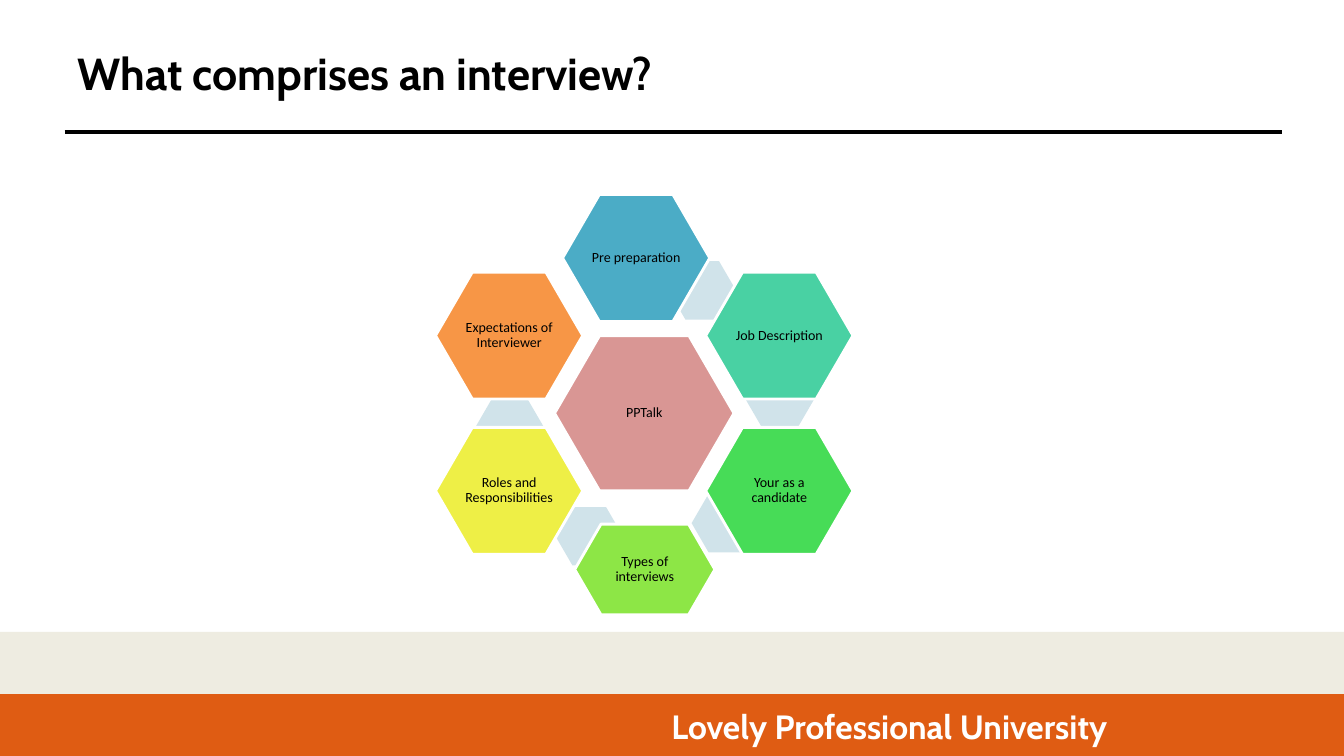
import lxml.etree
import pptx
import pptx.dml.color
import pptx.enum.shapes
import pptx.enum.text
import pptx.oxml.ns
import pptx.util

RGBColor = pptx.dml.color.RGBColor
PRESET = pptx.enum.shapes.MSO_SHAPE
ALIGN = pptx.enum.text.PP_ALIGN
MIDDLE = pptx.enum.text.MSO_ANCHOR.MIDDLE
PX = 9144  # 100 px to the inch

BLACK = RGBColor(0x00, 0x00, 0x00)
WHITE = RGBColor(0xFF, 0xFF, 0xFF)
ORANGE = RGBColor(0xDF, 0x5C, 0x13)
BEIGE = RGBColor(0xEE, 0xEC, 0xE1)
LINK_BLUE = RGBColor(0xD0, 0xE3, 0xEA)
CORE_PINK = RGBColor(0xD9, 0x96, 0x94)

CORE_SIZE = (178, 154)
TOPIC_SIZE = (146, 126)
SMALL_TOPIC_SIZE = (139, 90)
LINK_SIZE = (67, 58)

# label, colour, size, centre offset from the core, offset of the link behind it
TOPICS = [
    ("Pre preparation", RGBColor(0x4B, 0xAC, 0xC6), TOPIC_SIZE, (-8, -154), (57, -122)),
    ("Job Description", RGBColor(0x49, 0xD1, 0xA3), TOPIC_SIZE, (134, -77), (134, -13)),
    ("Your as a candidate", RGBColor(0x47, 0xDC, 0x57), TOPIC_SIZE, (134, 77), (80, 109)),
    ("Types of interviews", RGBColor(0x8D, 0xE6, 0x46), SMALL_TOPIC_SIZE, (0, 155), (-55, 122)),
    ("Roles and Responsibilities", RGBColor(0xEE, 0xEF, 0x46), TOPIC_SIZE, (-134, 77), (-134, 13)),
    ("Expectations of Interviewer", RGBColor(0xF7, 0x96, 0x46), TOPIC_SIZE, (-134, -77), None),
]


def emu(*lengths):
    return [length * PX for length in lengths]


def write(shape, text, font_name, size, color, bold=False, align=ALIGN.CENTER):
    text_frame = shape.text_frame
    text_frame.word_wrap = True
    text_frame.vertical_anchor = MIDDLE
    text_frame.text = text
    paragraph = text_frame.paragraphs[0]
    paragraph.alignment = align
    font = paragraph.runs[0].font
    font.name, font.size, font.bold = font_name, pptx.util.Pt(size), bold
    font.color.rgb = color
    return paragraph


def add_filled(slide, preset, box, fill, line=None):
    shape = slide.shapes.add_shape(preset, *emu(*box))
    shape.shadow.inherit = False
    shape.fill.solid()
    shape.fill.fore_color.rgb = fill
    if line is None:
        shape.line.fill.background()
    else:
        shape.line.color.rgb = line
        shape.line.width = pptx.util.Pt(2)
    return shape


def add_hexagon(slide, center, size, fill, label=None):
    box = (center[0] - size[0] // 2, center[1] - size[1] // 2, *size)
    hexagon = add_filled(slide, PRESET.HEXAGON, box, fill, WHITE if label else None)
    hexagon.adjustments[0] = 0.29
    if label:
        text_frame = hexagon.text_frame
        text_frame.margin_left = text_frame.margin_right = PX
        text_frame.margin_top = text_frame.margin_bottom = PX
        write(hexagon, label, "Calibri", 10, BLACK).line_spacing = 0.9


def add_header(slide, left, top, width):
    title = slide.shapes.add_textbox(*emu(left + 3, top, 1083, 85))
    write(title, "What comprises an interview?", "Cabin", 32, BLACK, True, ALIGN.LEFT)
    rule_top = top + 101
    rule = slide.shapes.add_connector(
        pptx.enum.shapes.MSO_CONNECTOR.STRAIGHT, *emu(left, rule_top, left + width, rule_top))
    rule.line.color.rgb = BLACK
    rule.line.width = pptx.util.Pt(3)
    lxml.etree.SubElement(rule._element.spPr, pptx.oxml.ns.qn("a:effectLst"))


def add_footer(slide, top, width):
    add_filled(slide, PRESET.RECTANGLE, (0, top, width, 63), BEIGE)
    band = add_filled(slide, PRESET.RECTANGLE, (0, top + 63, width, 60), ORANGE, ORANGE)
    band.text_frame.margin_left = 431 * PX
    band.text_frame.margin_right = 0
    write(band, "Lovely Professional University", "Cabin", 24, WHITE, True)


def add_topic_ring(slide, center_x, center_y):
    """Draw the core hexagon, then each topic over the link that leads on from it."""
    add_hexagon(slide, (center_x, center_y), CORE_SIZE, CORE_PINK, "PPTalk")
    for label, color, size, (topic_x, topic_y), link in TOPICS:
        if link:
            add_hexagon(slide, (center_x + link[0], center_y + link[1]), LINK_SIZE, LINK_BLUE)
        add_hexagon(slide, (center_x + topic_x, center_y + topic_y), size, color, label)


def main():
    presentation = pptx.Presentation()
    presentation.slide_width, presentation.slide_height = emu(1333, 750)
    slide = presentation.slides.add_slide(presentation.slide_layouts[6])
    add_footer(slide, 627, 1333)
    add_header(slide, 64, 30, 1208)
    add_topic_ring(slide, 639, 410)
    presentation.save("out.pptx")


if __name__ == "__main__":
    main()
